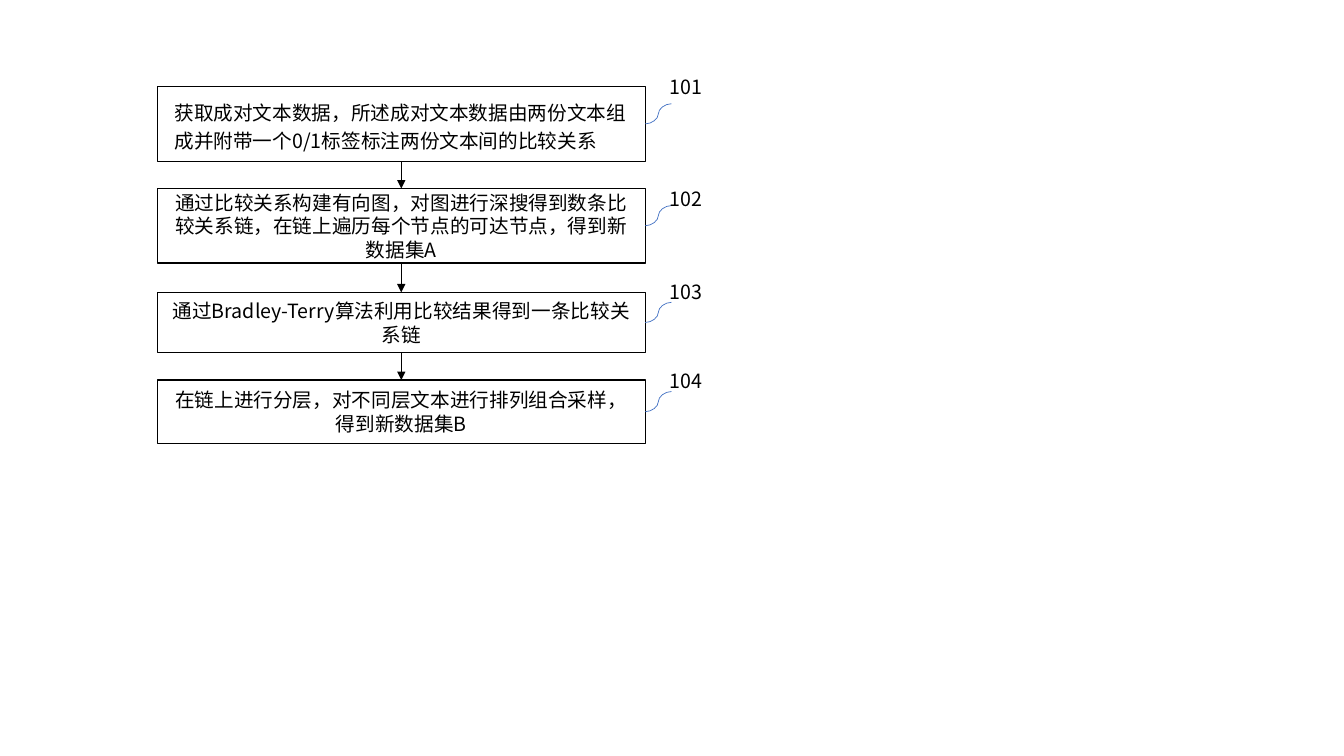
from lxml.etree import SubElement
from pptx import Presentation
from pptx.dml.color import RGBColor
from pptx.enum.shapes import MSO_CONNECTOR as LINK, MSO_SHAPE as SHAPE
from pptx.enum.text import MSO_ANCHOR as ANCHOR, PP_ALIGN as ALIGN
from pptx.oxml.ns import qn
from pptx.util import Inches, Pt

BLACK = RGBColor(0x00, 0x00, 0x00)
WHITE = RGBColor(0xFF, 0xFF, 0xFF)
BLUE = RGBColor(0x44, 0x72, 0xC4)
FONT = "Noto Sans CJK SC"
LEFT, WIDTH = 1.56, 4.84

# box top, box height, number, number top, text
STEPS = [
    (0.86, 0.74, "101", 0.69,
     "获取成对文本数据，所述成对文本数据由两份文本组成并附带一个0/1标签标注两份文本间的比较关系"),
    (1.87, 0.74, "102", 1.81,
     "通过比较关系构建有向图，对图进行深搜得到数条比较关系链，在链上遍历每个节点的可达节点，得到新数据集A"),
    (2.90, 0.60, "103", 2.73,
     "通过Bradley-Terry算法利用比较结果得到一条比较关系链"),
    (3.77, 0.63, "104", 3.61,
     "在链上进行分层，对不同层文本进行排列组合采样，得到新数据集B"),
]


def write(frame, text, align):
    frame.word_wrap = True
    para = frame.paragraphs[0]
    para.text = text
    para.alignment = align
    font = para.font
    font.size = Pt(14)
    font.name = FONT
    font.color.rgb = BLACK
    SubElement(font._element, qn("a:ea"), typeface=FONT)
    return para


def add_box(slide, top, height, text):
    box = slide.shapes.add_shape(SHAPE.RECTANGLE, Inches(LEFT), Inches(top),
                                 Inches(WIDTH), Inches(height))
    box.shadow.inherit = False
    box.fill.solid()
    box.fill.fore_color.rgb = WHITE
    box.line.color.rgb = BLACK
    box.line.width = Pt(1)
    box.text_frame.vertical_anchor = ANCHOR.MIDDLE
    write(box.text_frame, text, ALIGN.CENTER)
    return box


def add_link(slide, kind, color, start, site, end=(0, 0)):
    """Draw a thin line from a site of the start box to a point."""
    link = slide.shapes.add_connector(kind, 0, 0, *end)
    link.begin_connect(start, site)
    link.line.color.rgb = color
    link.line.width = Pt(0.5)
    SubElement(link._element.spPr, qn("a:effectLst"))
    return link


def add_arrow(slide, upper, lower):
    arrow = add_link(slide, LINK.STRAIGHT, BLACK, upper, 2)
    arrow.end_connect(lower, 0)
    SubElement(arrow.line._get_or_add_ln(), qn("a:tailEnd"), type="triangle")


def add_label(slide, box, number, top):
    right = box.left + box.width
    middle = box.top + box.height // 2
    add_link(slide, LINK.CURVE, BLUE, box, 3,
             (right + Inches(0.26), middle - Inches(0.2)))
    label = slide.shapes.add_textbox(right + Inches(0.14), Inches(top),
                                     Inches(1.08), Inches(0.64))
    write(label.text_frame, number, ALIGN.LEFT)


def add_flow(slide, steps):
    boxes = []
    for top, height, number, label_top, text in steps:
        box = add_box(slide, top, height, text)
        add_label(slide, box, number, label_top)
        boxes.append(box)
    for upper, lower in zip(boxes, boxes[1:]):
        add_arrow(slide, upper, lower)

    # The first step is set looser and flush left
    frame = boxes[0].text_frame
    frame.margin_left = Inches(0.17)
    frame.paragraphs[0].alignment = ALIGN.LEFT
    frame.paragraphs[0].line_spacing = 1.2


def main():
    deck = Presentation()
    deck.slide_width = Inches(13.33)
    deck.slide_height = Inches(7.5)
    slide = deck.slides.add_slide(deck.slide_layouts[6])
    add_flow(slide, STEPS)
    deck.save("out.pptx")


if __name__ == "__main__":
    main()
